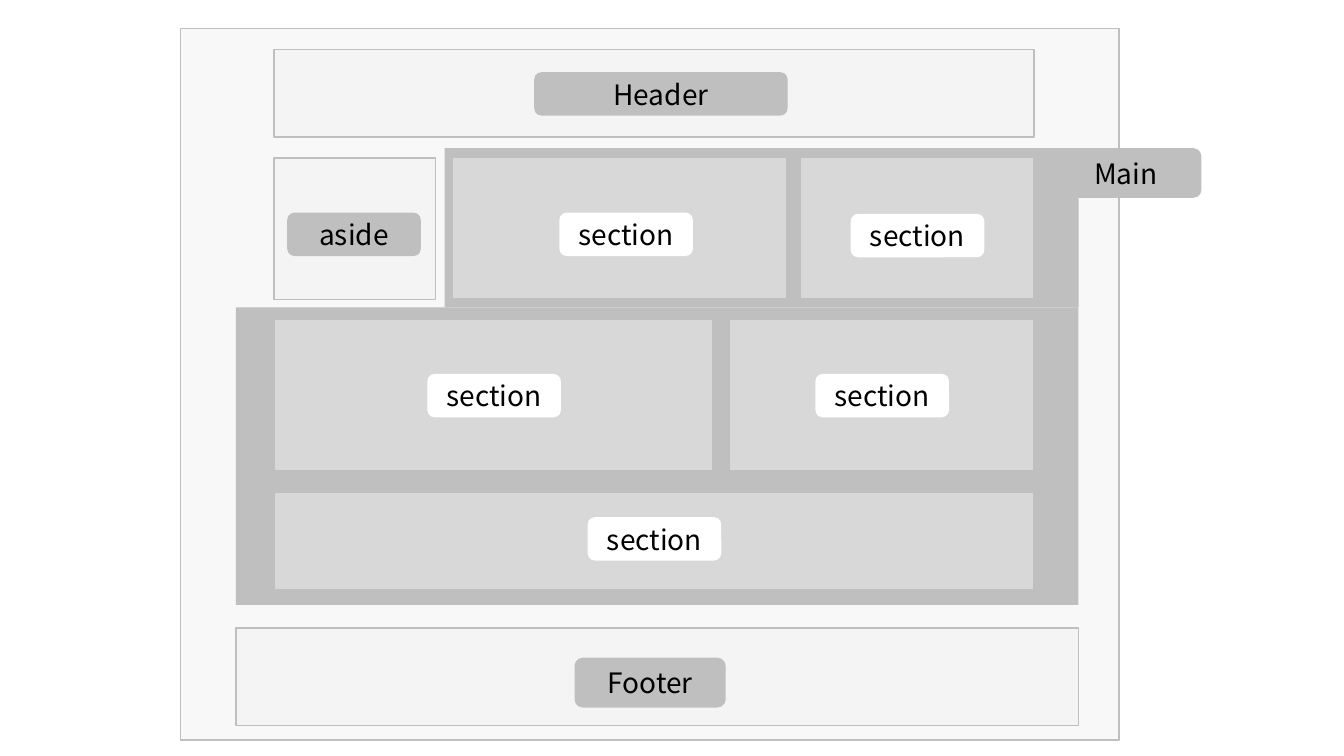
import pptx
import pptx.util
import pptx.oxml
import pptx.dml.color
import pptx.enum.shapes
import pptx.enum.text

Pt = pptx.util.Pt
SHAPE = pptx.enum.shapes.MSO_SHAPE
COLORS = {"panel": "F2F2F2", "grey": "BFBFBF", "white": "FFFFFF", "text": "000000"}
FONT = "Noto Sans CJK KR"


def color(name):
    return pptx.dml.color.RGBColor.from_string(COLORS[name])


def add_block(parent, kind, bounds, fill):
    """Add a filled shape without outline or shadow."""
    block = parent.add_shape(kind, *[Pt(length) for length in bounds])
    block.shadow.inherit = False
    block.fill.solid()
    block.fill.fore_color.rgb = color(fill)
    block.line.fill.background()
    return block


deck = pptx.Presentation()
deck.slide_width, deck.slide_height = Pt(960), Pt(540)
page = deck.slides.add_slide(deck.slide_layouts[6])

# The main area: two rectangles forming one stepped outline
main_left, main_right = 168.5, 770.4
main_width = main_right - main_left
main_area = page.shapes.add_group_shape()
for left, top, height in [(main_left, 219.6, 212.4), (317.5, 105.8, 113.8)]:
    add_block(main_area.shapes, SHAPE.RECTANGLE,
              (left, top, main_right - left, height), "grey")

# Half-transparent panels: frame, header, content rows, footer
content_left, content_right = 195.8, 738.7
content_width = content_right - content_left
panels = [
    (128.9, 20.2, 670.3, 508.3),
    (content_left, 35.3, content_width, 62.6),
    (content_left, 113, 115.2, 100.8),
    (323.3, 112.3, 239, 100.8),
    (571.7, 112.3, content_right - 571.7, 100.8),
    (content_left, 228.2, 313.2, 108),
    (521.3, 228.2, content_right - 521.3, 108),
    (content_left, 351.4, content_width, 69.8),
    (main_left, 448.6, main_width, 69.8),
]
for index, bounds in enumerate(panels):
    panel = add_block(page.shapes, SHAPE.RECTANGLE, bounds, "panel")
    panel.line.color.rgb = color("grey")
    panel.line.width = Pt(1)
    fill_color = panel.fill._xPr.find(".//" + pptx.oxml.ns.qn("a:srgbClr"))
    alpha = pptx.oxml.parse_xml(
        '<a:alpha xmlns:a="http://schemas.openxmlformats.org/drawingml/2006/main" val="50000"/>')
    fill_color.append(alpha)
    if index == 0:
        # The frame lies behind the main area
        page.shapes._spTree.remove(panel._element)
        page.shapes._spTree.insert_element_before(panel._element, "p:grpSp")

small, large = (95.4, 31), (108, 35.6)
labels = [
    ("Header", 381.6, 51.6, (181, 31), "grey"),
    ("aside", 205.2, 151.9, small, "grey"),
    ("section", 399.6, 151.9, small, "white"),
    ("section", 607.7, 152.8, small, "white"),
    ("section", 305.3, 267.1, small, "white"),
    ("section", 582.5, 267.1, small, "white"),
    ("section", 419.8, 369.4, small, "white"),
    ("Main", 750.2, 105.8, large, "grey"),
    ("Footer", 410.4, 469.8, large, "grey"),
]
for text, left, top, size, fill in labels:
    label = add_block(page.shapes, SHAPE.ROUNDED_RECTANGLE, (left, top, *size), fill)
    label.text_frame.text = text
    label.text_frame.vertical_anchor = pptx.enum.text.MSO_ANCHOR.MIDDLE
    para = label.text_frame.paragraphs[0]
    para.alignment = pptx.enum.text.PP_ALIGN.CENTER
    para.font.name = FONT
    para.font.size = Pt(20)
    para.font.color.rgb = color("text")

deck.save("out.pptx")
